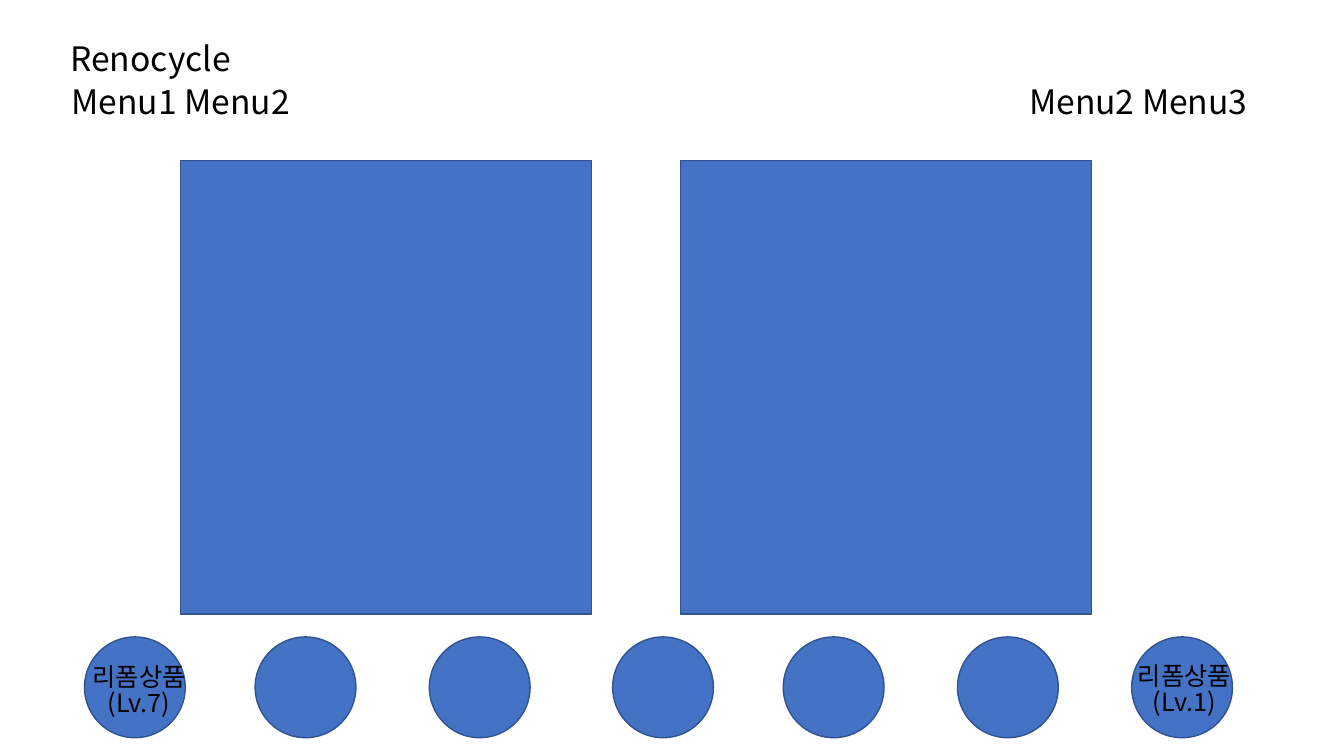
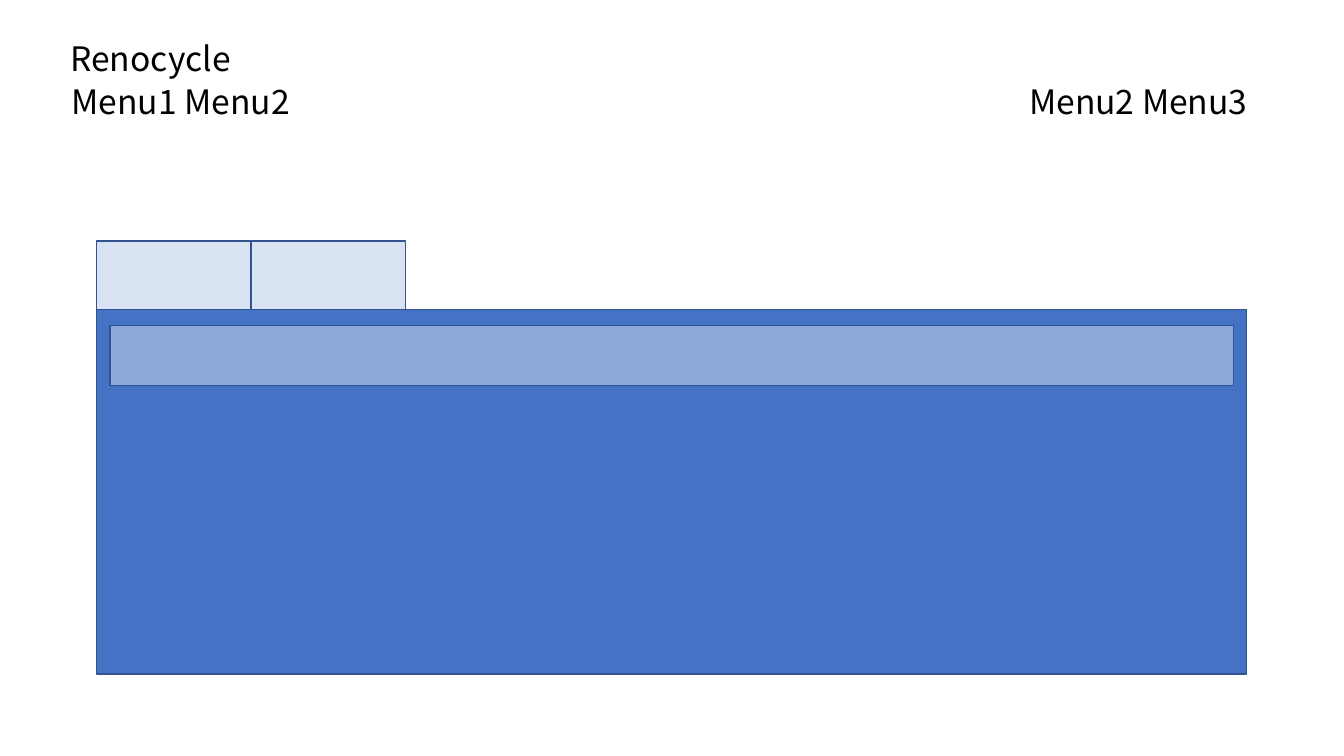
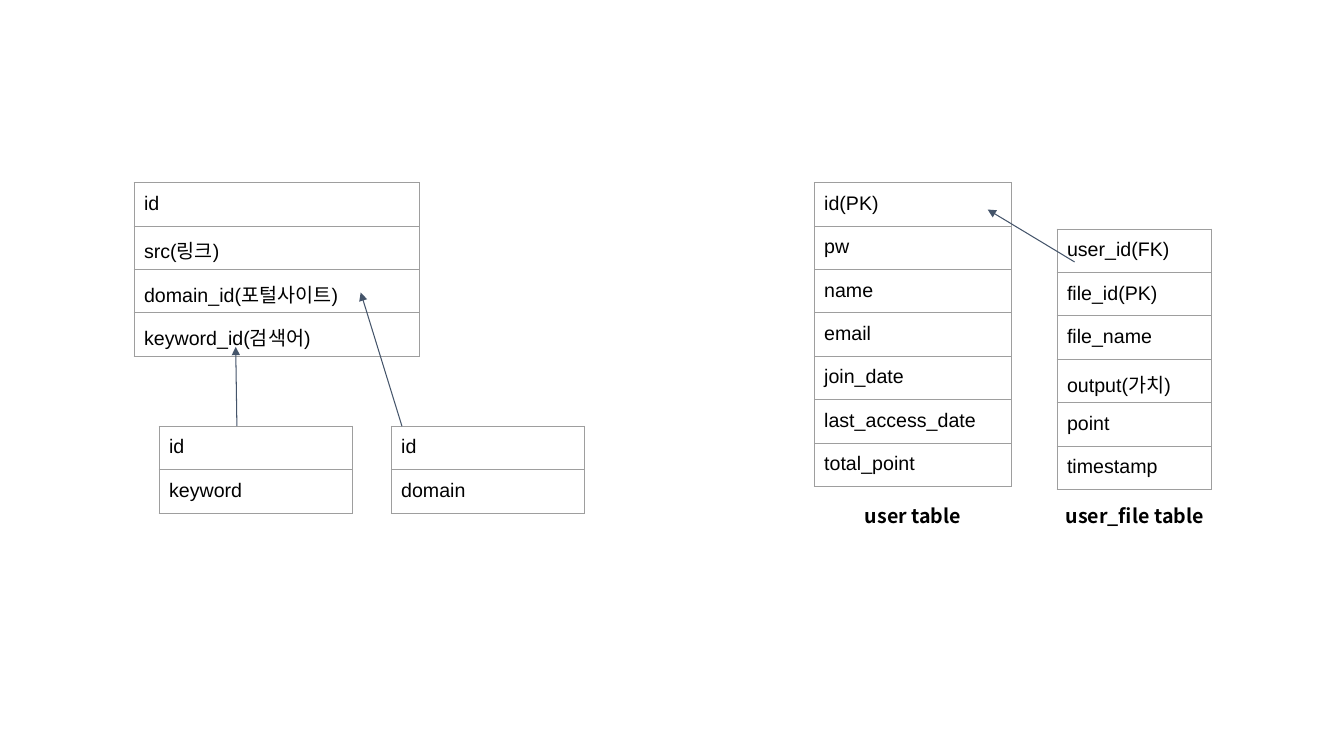
"""Build a three-slide wireframe and table sketch of a reform-goods site."""
from lxml import etree
from pptx import Presentation
from pptx import util as u
from pptx.dml.color import RGBColor
from pptx.enum import shapes, text
from pptx.oxml import ns

BLACK = RGBColor(0, 0, 0)
BLUE = RGBColor(0x44, 0x72, 0xC4)
MID = RGBColor(0x8D, 0xA9, 0xDB)
PALE = RGBColor(0xD8, 0xE2, 0xF3)
EDGE = RGBColor(0x31, 0x53, 0x8F)
SLATE = RGBColor(0x44, 0x54, 0x6A)
GREY = RGBColor(0x9E, 0x9E, 0x9E)
SANS = "Noto Sans CJK KR"
RECT = shapes.MSO_SHAPE.RECTANGLE
OVAL = shapes.MSO_SHAPE.OVAL
CENTER = text.PP_ALIGN.CENTER


def add(parent, tag, **attrs):
    return etree.SubElement(parent, ns.qn(tag), attrs)


def write(frame, words, size=14, font=SANS, bold=False, align=text.PP_ALIGN.LEFT,
          space=0.87, pad=(0.25, 0.13)):
    frame.word_wrap = True
    frame.margin_left = frame.margin_right = u.Cm(pad[0])
    frame.margin_top = frame.margin_bottom = u.Cm(pad[1])
    frame.text = words
    for para in frame.paragraphs:
        para.alignment = align
        para.line_spacing = space
        for run in para.runs:
            run.font.name, run.font.size = font, u.Pt(size)
            run.font.bold, run.font.color.rgb = bold, BLACK
            add(run.font._element, "a:ea", typeface=SANS)


class Deck:
    """Hold the style and the current slide."""

    def __init__(self):
        self.show = Presentation()
        self.show.slide_width = u.Cm(33.87)
        self.show.slide_height = u.Cm(19.05)

    def start(self, layout):
        self.slide = self.show.slides.add_slide(self.show.slide_layouts[layout])
        self.items = self.slide.shapes

    def page(self):
        self.start(5)
        title = self.items.title
        title.left, title.top, title.width, title.height = map(
            u.Cm, (1.52, 0.97, 31.09, 1.27))
        frame = title.text_frame
        write(frame, "Renocycle", size=24)
        frame.auto_size = text.MSO_AUTO_SIZE.NONE
        frame.vertical_anchor = text.MSO_ANCHOR.TOP
        menu = self.label("Menu1 Menu2\tMenu2 Menu3", 1.55, 2.06, 31.32, 1.27,
                          size=24)
        props = menu.text_frame.paragraphs[0]._p.get_or_add_pPr()
        tabs = add(props, "a:tabLst")
        add(tabs, "a:tab", pos=str(u.Cm(29.64)), algn="r")

    def label(self, words, *place, **style):
        box = self.items.add_textbox(*map(u.Cm, place))
        write(box.text_frame, words, **style)
        return box

    def block(self, kind, *place, fill=BLUE):
        shape = self.items.add_shape(kind, *map(u.Cm, place))
        shape.shadow.inherit = False
        shape.fill.solid()
        shape.fill.fore_color.rgb = fill
        shape.line.color.rgb, shape.line.width = EDGE, u.Pt(1)

    def table(self, left, top, width, names):
        row = 1.06
        grid = self.items.add_table(
            len(names), 1, *map(u.Cm, (left, top, width, row * len(names)))).table
        grid.first_row = grid.horz_banding = False
        for i, name in enumerate(names):
            grid.rows[i].height = u.Cm(row)
            cell = grid.cell(i, 0)
            write(cell.text_frame, name, font="Arial", space=1.0)
            cell.margin_left = cell.margin_right = u.Cm(0.25)
            cell.margin_top = cell.margin_bottom = u.Cm(0.25)
            props = cell._tc.get_or_add_tcPr()
            for side in "LRTB":
                line = add(props, "a:ln" + side, w=str(u.Pt(0.75)))
                add(add(line, "a:solidFill"), "a:srgbClr", val=str(GREY))
            cell.fill.background()

    def arrow(self, *ends):
        link = self.items.add_connector(
            shapes.MSO_CONNECTOR.STRAIGHT, *map(u.Cm, ends))
        link.line.color.rgb, link.line.width = SLATE, u.Pt(0.75)
        add(link.line._get_or_add_ln(), "a:tailEnd", type="triangle")
        add(link._element.spPr, "a:effectLst")


def home(deck):
    deck.page()
    for left in (4.55, 17.15):
        deck.block(RECT, left, 4.04, 10.36, 11.43)
    for left in (2.13, 6.43, 10.82, 15.44, 19.74, 24.13, 28.52):
        deck.block(OVAL, left, 16.05, 2.54, 2.54)
    for level, left, top in ((7, 1.5, 16.64), (1, 27.84, 16.61)):
        deck.label(f"리폼상품\n(Lv.{level})", left, top, 4.01, 1.8,
                   size=18, align=CENTER)


def board(deck):
    deck.page()
    deck.block(RECT, 2.44, 7.8, 28.98, 9.19)
    for i in range(2):
        deck.block(RECT, 2.44 + 3.89 * i, 6.07, 3.89, 1.73, fill=PALE)
    deck.block(RECT, 2.77, 8.2, 28.32, 1.52, fill=MID)


def schema(deck):
    deck.start(6)
    deck.table(3.38, 4.6, 7.19,
               ("id", "src(링크)", "domain_id(포털사이트) ", "keyword_id(검색어)"))
    for name, left in (("domain", 9.86), ("keyword", 4.01)):
        deck.table(left, 10.74, 4.88, ("id", name))
    deck.arrow(10.13, 10.74, 9.09, 7.37)
    deck.arrow(5.97, 10.74, 5.94, 8.74)
    deck.table(20.52, 4.6, 4.98,
               ("id(PK)", "pw", "name", "email", "join_date",
                "last_access_date", "total_point"))
    deck.table(26.64, 5.77, 3.89,
               ("user_id(FK)", "file_id(PK)", "file_name", "output(가치)",
                "point", "timestamp"))
    for name, left in (("user table", 20.52), ("user_file table", 26.11)):
        deck.label(name, left, 12.52, 4.98, 1.22, bold=True, align=CENTER,
                   pad=(0.25, 0.25))
    deck.arrow(27.08, 6.6, 24.89, 5.28)


deck = Deck()
for draw in (home, board, schema):
    draw(deck)
deck.show.save("out.pptx")
